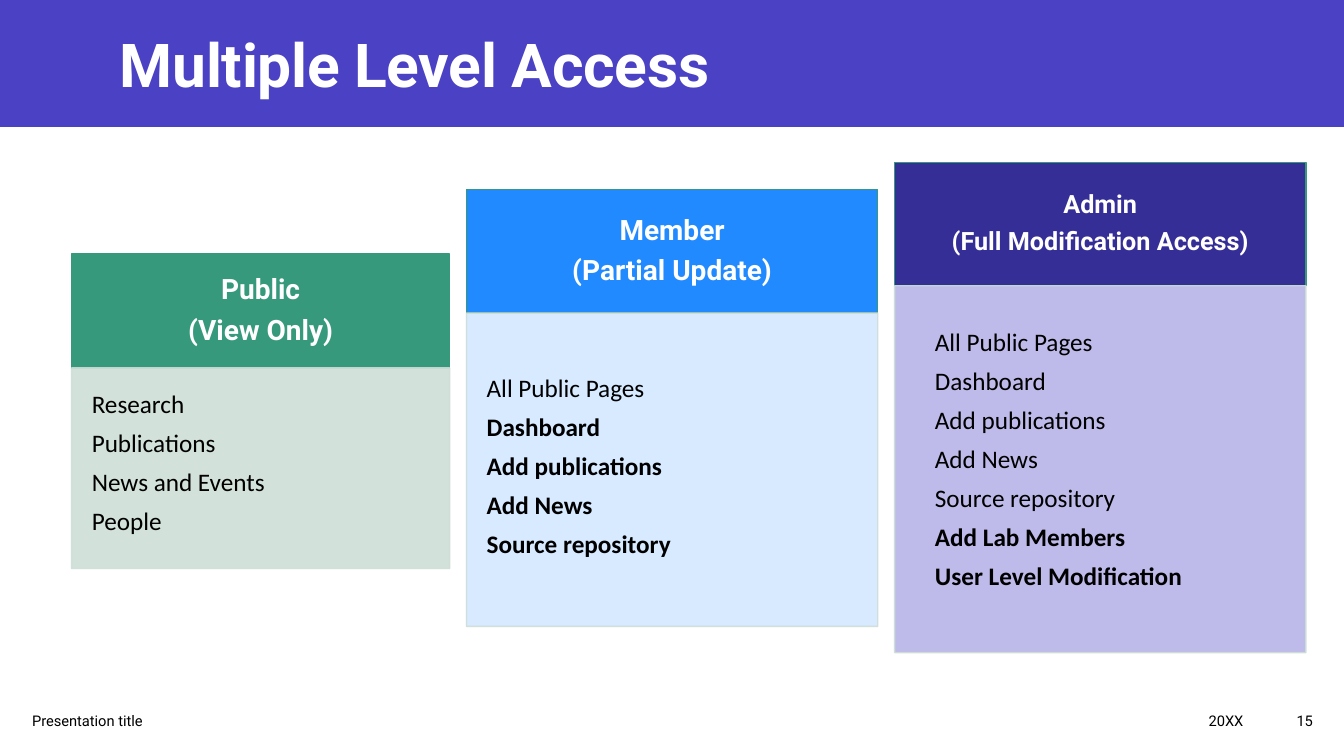
from lxml import etree
from pptx import Presentation
from pptx.dml.color import RGBColor
from pptx.enum.shapes import MSO_SHAPE
from pptx.enum.text import MSO_ANCHOR, PP_ALIGN
from pptx.oxml.ns import qn
from pptx.util import Inches, Pt

RECTANGLE = MSO_SHAPE.RECTANGLE
TOP, MIDDLE = MSO_ANCHOR.TOP, MSO_ANCHOR.MIDDLE
LEFT, CENTER, RIGHT = PP_ALIGN.LEFT, PP_ALIGN.CENTER, PP_ALIGN.RIGHT

SLIDE_W, SLIDE_H = Inches(13.33), Inches(7.5)
WHITE = RGBColor(0xFF, 0xFF, 0xFF)
BLACK = RGBColor(0x00, 0x00, 0x00)
BANNER = RGBColor(0x4A, 0x41, 0xC5)
GREEN = RGBColor(0x37, 0x99, 0x7B)
BLUE = RGBColor(0x22, 0x8A, 0xFF)
INDIGO = RGBColor(0x35, 0x2E, 0x97)
PALE_GREEN = RGBColor(0xCE, 0xDE, 0xD7)
PALE_BLUE = RGBColor(0xD3, 0xE8, 0xFF)
PALE_INDIGO = RGBColor(0xB7, 0xB3, 0xE8)

HEADING_FONT, BODY_FONT = "Roboto", "Calibri"
BODY_SIZE = 18
BODY_OPACITY = 90

# Cards, in percent of the slide's width and height
FIRST_CARD_X, CARD_GAP = 5.33, 1.25
CARDS = [
    dict(title="Public\n(View Only)", title_size=20, accent=GREEN, tint=PALE_GREEN,
         top=33.6, width=28.13, head=15.07, body=26.53, head_inset=0.3,
         side_inset=0.2, top_inset=0.2, plain=4,
         pages=["Research", "Publications", "News and Events", "People"]),
    dict(title="Member\n(Partial Update)", title_size=20, accent=BLUE, tint=PALE_BLUE,
         top=25.07, width=30.6, head=16.33, body=41.47, head_inset=0.32,
         side_inset=0.2, top_inset=0.59, plain=1,
         pages=["All Public Pages", "Dashboard", "Add publications", "Add News",
                "Source repository"]),
    dict(title="Admin\n(Full Modification Access)", title_size=18, accent=INDIGO,
         tint=PALE_INDIGO, top=21.47, width=30.6, head=16.33, body=48.53,
         head_inset=0.32, side_inset=0.4, top_inset=0.4, plain=5,
         pages=["All Public Pages", "Dashboard", "Add publications", "Add News",
                "Source repository", "Add Lab Members", "User Level Modification"]),
]

# Footer: text, left, width, alignment
FOOTER = [
    ("Presentation title", 1.65, 39.68, LEFT),
    ("20XX", 57.54, 35.71, RIGHT),
    ("15", 93.25, 5.18, RIGHT),
]


def area(x, y, width, height):
    """Turn percentages of the slide into lengths."""
    return (int(SLIDE_W * x / 100), int(SLIDE_H * y / 100),
            int(SLIDE_W * width / 100), int(SLIDE_H * height / 100))


def set_opacity(element, percent):
    for color in element.iter(qn("a:srgbClr")):
        etree.SubElement(color, qn("a:alpha"), val=str(percent * 1000))


def add_panel(slide, place, fill, outline=None, opacity=100):
    panel = slide.shapes.add_shape(RECTANGLE, *area(*place))
    panel.shadow.inherit = False
    panel.fill.solid()
    panel.fill.fore_color.rgb = fill
    if outline is None:
        panel.line.fill.background()
    else:
        panel.line.color.rgb = outline
        panel.line.width = Pt(1)
    if opacity < 100:
        set_opacity(panel.element.spPr, opacity)
    return panel


def write(frame, text, font, size, color, align=LEFT, anchor=MIDDLE, bold=False):
    frame.word_wrap = True
    frame.vertical_anchor = anchor
    frame.text = text
    for paragraph in frame.paragraphs:
        paragraph.alignment = align
        for run in paragraph.runs:
            run.font.name = font
            run.font.size = Pt(size)
            run.font.bold = bold
            run.font.color.rgb = color


def set_insets(frame, side, top):
    frame.margin_left = frame.margin_right = Inches(side)
    frame.margin_top = frame.margin_bottom = Inches(top)


def add_label(slide, place, text, size, color, align=LEFT, bold=False):
    label = slide.shapes.add_textbox(*area(*place))
    write(label.text_frame, text, HEADING_FONT, size, color, align, bold=bold)
    return label


def add_title(slide, text):
    title = add_label(slide, (8.18, 2.8, 82.22, 11.07), text, 43.2, WHITE, bold=True)
    # Slightly tightened letter spacing, in hundredths of a point
    title.text_frame.paragraphs[0].runs[0].font._element.set("spc", "-20")


def add_card(slide, x, card):
    # Heading block
    heading = add_panel(slide, (x, card["top"], card["width"], card["head"]),
                        card["accent"], GREEN).text_frame
    write(heading, card["title"], HEADING_FONT, card["title_size"], WHITE, CENTER,
          bold=True)
    set_insets(heading, card["head_inset"], card["head_inset"])
    for line in heading.paragraphs:
        line.line_spacing = 0.9
        line.space_after = Pt(0.37 * card["title_size"])

    # List of pages, with the newly gained ones in bold
    body_top = card["top"] + card["head"]
    pages = add_panel(slide, (x, body_top, card["width"], card["body"]),
                      card["tint"], PALE_GREEN, BODY_OPACITY).text_frame
    write(pages, "\n".join(card["pages"]), BODY_FONT, BODY_SIZE, BLACK, anchor=TOP)
    set_insets(pages, card["side_inset"], card["top_inset"])
    for number, page in enumerate(pages.paragraphs):
        page.space_after = Pt(6.3)
        page.runs[0].font.bold = number >= card["plain"]


def main():
    deck = Presentation()
    deck.slide_width, deck.slide_height = SLIDE_W, SLIDE_H
    slide = deck.slides.add_slide(deck.slide_layouts[6])

    # Banner and title
    add_panel(slide, (0, 0, 100, 16.8), BANNER)
    add_title(slide, "Multiple Level Access")

    # Access levels
    x = FIRST_CARD_X
    for card in CARDS:
        add_card(slide, x, card)
        x += card["width"] + CARD_GAP

    # Footer
    for text, left, width, align in FOOTER:
        add_label(slide, (left, 92.67, width, 5.33), text, 10.5, BLACK, align)

    deck.save("out.pptx")


if __name__ == "__main__":
    main()
